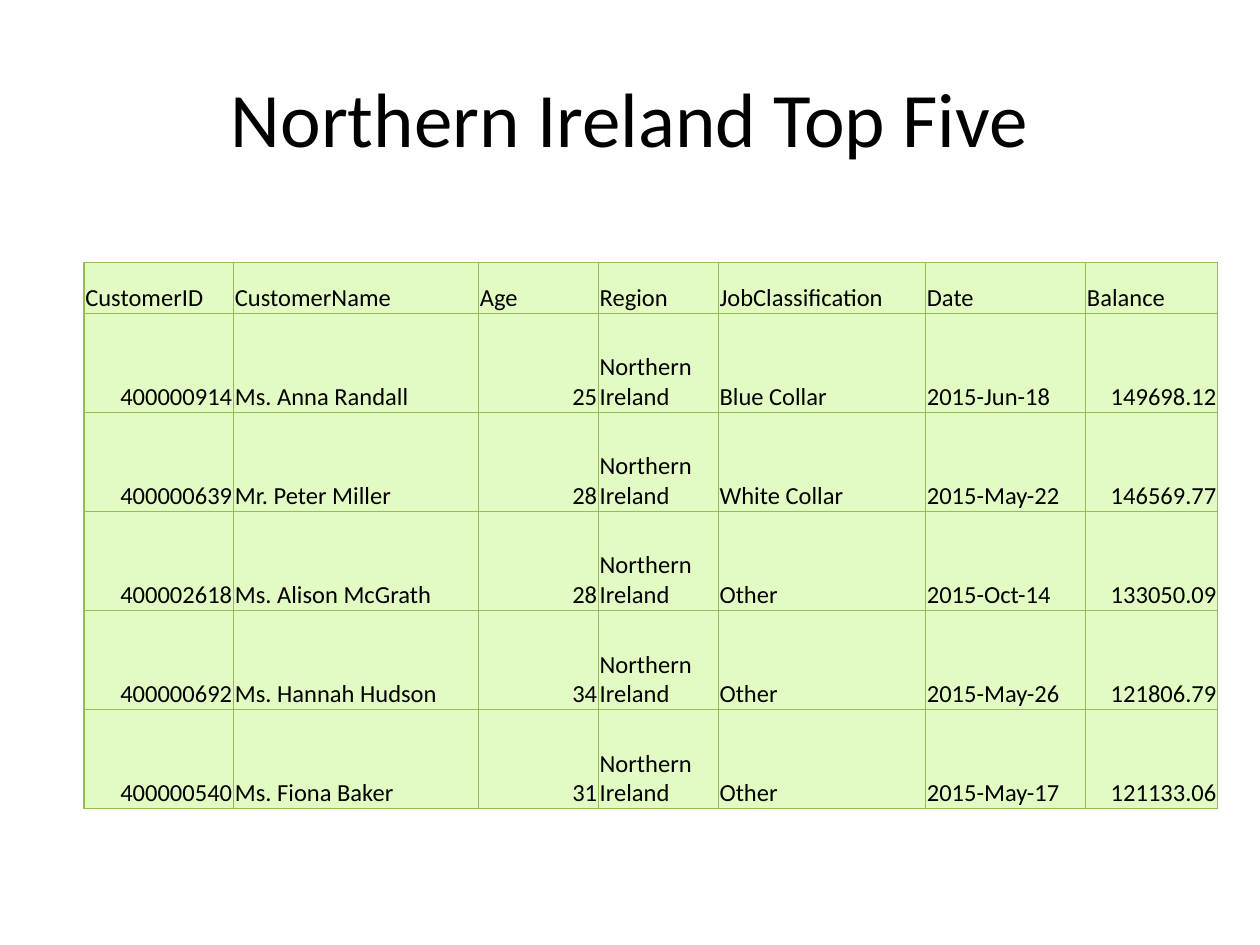
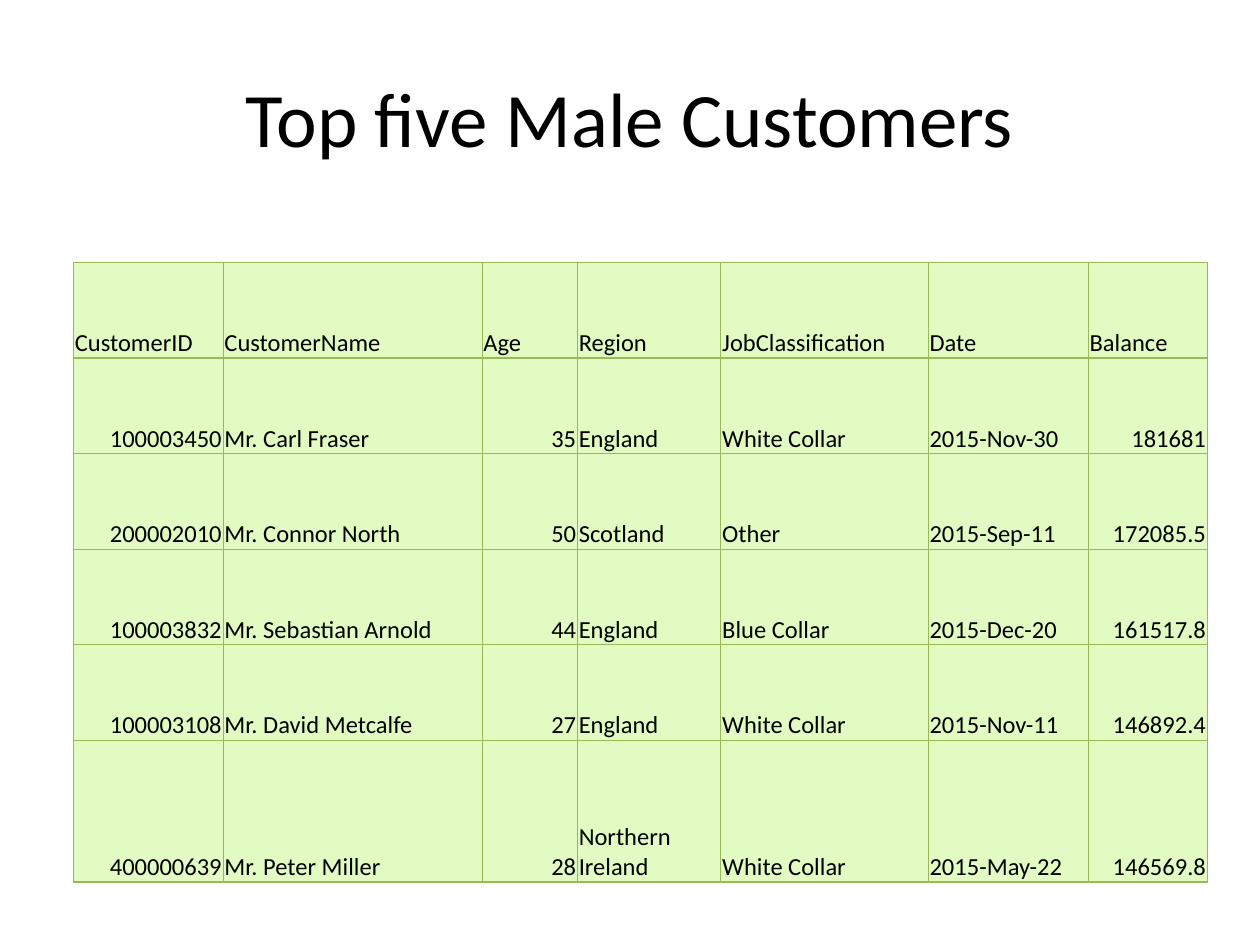
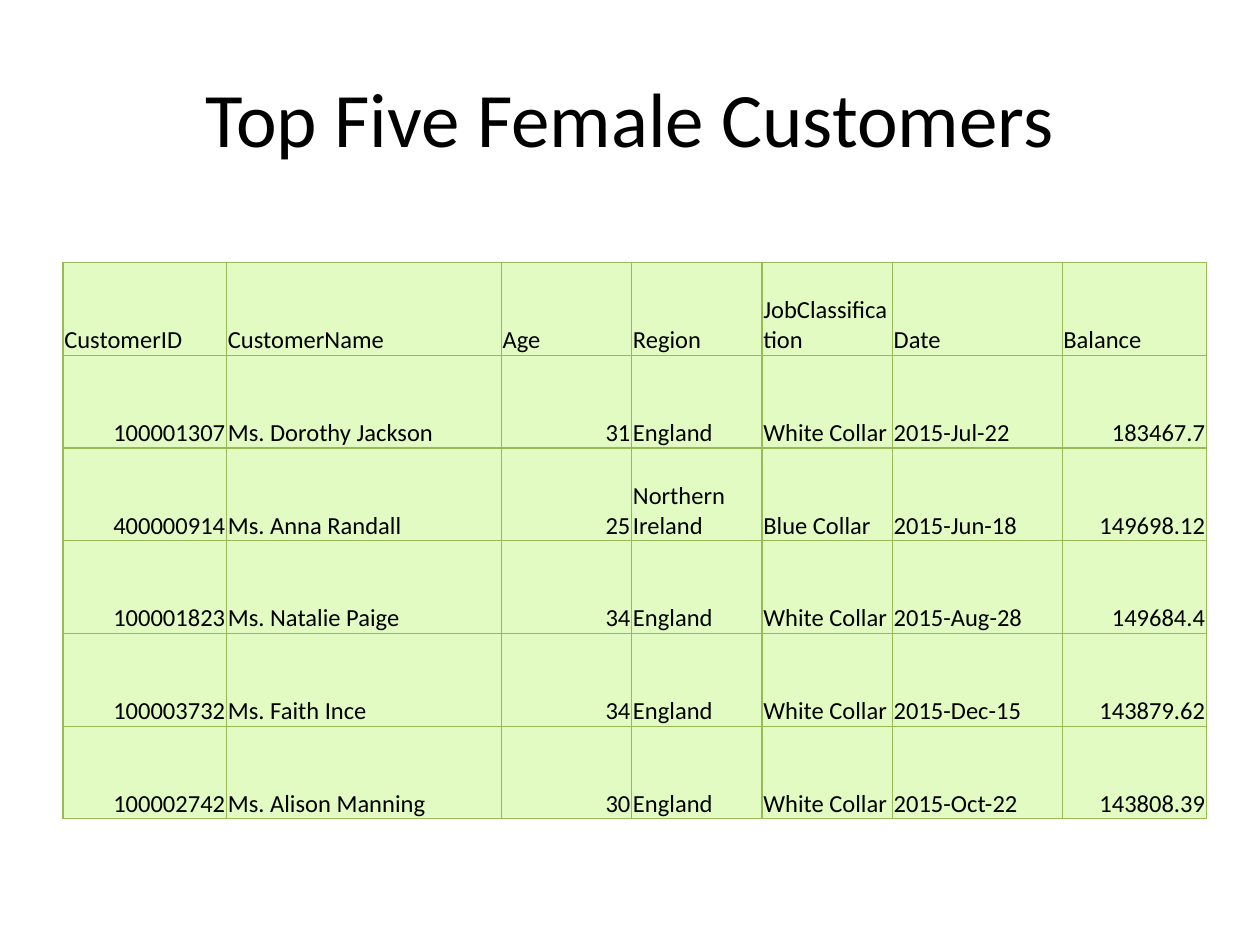
from dataclasses import dataclass

from lxml.etree import SubElement
from pptx import Presentation
from pptx.dml.color import RGBColor
from pptx.enum.text import MSO_ANCHOR, PP_ALIGN
from pptx.oxml.ns import qn
from pptx.util import Pt


@dataclass(frozen=True)
class Theme:
    font: str = "Calibri"
    ink: str = "000000"
    background: str = "FFFFFF"
    cell_fill: str = "E2FBC2"
    grid: str = "98B955"
    grid_width: float = 0.75
    title_size: float = 44
    cell_size: float = 14
    cell_inset: float = 0.75


THEME = Theme()
TABLE_TOP = 150
HEADINGS = ("CustomerID", "CustomerName", "Age", "Region",
            "JobClassification", "Date", "Balance")
NUMERIC_HEADINGS = {"CustomerID", "Age", "Balance"}

RANKINGS = [
    {
        "title": "Northern Ireland Top Five",
        "left": 48,
        "widths": (85.5, 140, 68.5, 68.5, 118.5, 91.5, 75.5),
        "heights": (29, *[56.6] * 5),
        "customers": [
            ("400000914", "Ms. Anna Randall", "25", "Northern Ireland", "Blue Collar", "2015-Jun-18", "149698.12"),
            ("400000639", "Mr. Peter Miller", "28", "Northern Ireland", "White Collar", "2015-May-22", "146569.77"),
            ("400002618", "Ms. Alison McGrath", "28", "Northern Ireland", "Other", "2015-Oct-14", "133050.09"),
            ("400000692", "Ms. Hannah Hudson", "34", "Northern Ireland", "Other", "2015-May-26", "121806.79"),
            ("400000540", "Ms. Fiona Baker", "31", "Northern Ireland", "Other", "2015-May-17", "121133.06"),
        ],
    },
    {
        "title": "Top five Male Customers",
        "left": 42,
        "widths": (85.5, 148, 54.5, 82, 118.5, 91.5, 68),
        "heights": (*[54.6] * 5, 81),
        "customers": [
            ("100003450", "Mr. Carl Fraser", "35", "England", "White Collar", "2015-Nov-30", "181681"),
            ("200002010", "Mr. Connor North", "50", "Scotland", "Other", "2015-Sep-11", "172085.5"),
            ("100003832", "Mr. Sebastian Arnold", "44", "England", "Blue Collar", "2015-Dec-20", "161517.8"),
            ("100003108", "Mr. David Metcalfe", "27", "England", "White Collar", "2015-Nov-11", "146892.4"),
            ("400000639", "Mr. Peter Miller", "28", "Northern Ireland", "White Collar", "2015-May-22", "146569.8"),
        ],
    },
    {
        "title": "Top Five Female Customers",
        "left": 36,
        "widths": (93.5, 157, 74.5, 74.5, 74.5, 97, 82.5),
        "heights": [53] * 6,
        "customers": [
            ("100001307", "Ms. Dorothy Jackson", "31", "England", "White Collar", "2015-Jul-22", "183467.7"),
            ("400000914", "Ms. Anna Randall", "25", "Northern Ireland", "Blue Collar", "2015-Jun-18", "149698.12"),
            ("100001823", "Ms. Natalie Paige", "34", "England", "White Collar", "2015-Aug-28", "149684.4"),
            ("100003732", "Ms. Faith Ince", "34", "England", "White Collar", "2015-Dec-15", "143879.62"),
            ("100002742", "Ms. Alison Manning", "30", "England", "White Collar", "2015-Oct-22", "143808.39"),
        ],
    },
]


def format_paragraph(paragraph, size, alignment):
    paragraph.alignment = alignment
    paragraph.font.name = THEME.font
    paragraph.font.size = Pt(size)
    paragraph.font.color.rgb = RGBColor.from_string(THEME.ink)


def set_title(slide, wording):
    title = slide.shapes.title
    title.left, title.top, title.width, title.height = Pt(36), Pt(21.6), Pt(648), Pt(90)
    title.text_frame.text = wording
    title.text_frame.vertical_anchor = MSO_ANCHOR.MIDDLE
    format_paragraph(title.text_frame.paragraphs[0], THEME.title_size, PP_ALIGN.CENTER)


def add_cell_borders(cell):
    properties = cell._tc.get_or_add_tcPr()
    for side in ("lnL", "lnR", "lnT", "lnB"):
        border = SubElement(properties, qn(f"a:{side}"), w=str(Pt(THEME.grid_width)))
        SubElement(SubElement(border, qn("a:solidFill")), qn("a:srgbClr"), val=THEME.grid)


def format_cell(cell, wording, alignment):
    cell.text = wording
    cell.vertical_anchor = MSO_ANCHOR.BOTTOM
    cell.margin_left = cell.margin_right = cell.margin_top = Pt(THEME.cell_inset)
    cell.margin_bottom = Pt(0)
    add_cell_borders(cell)
    cell.fill.solid()
    cell.fill.fore_color.rgb = RGBColor.from_string(THEME.cell_fill)
    format_paragraph(cell.text_frame.paragraphs[0], THEME.cell_size, alignment)


def add_customer_table(slide, left, widths, heights, customers):
    table = slide.shapes.add_table(
        len(heights), len(widths), Pt(left), Pt(TABLE_TOP), Pt(sum(widths)), Pt(sum(heights))
    ).table
    table.first_row = table.horz_banding = False
    for column, width in zip(table.columns, widths):
        column.width = Pt(width)
    for row, height in zip(table.rows, heights):
        row.height = Pt(height)
    for row_index, record in enumerate([HEADINGS, *customers]):
        for column_index, (heading, wording) in enumerate(zip(HEADINGS, record)):
            is_number = row_index > 0 and heading in NUMERIC_HEADINGS
            alignment = PP_ALIGN.RIGHT if is_number else PP_ALIGN.LEFT
            format_cell(table.cell(row_index, column_index), wording, alignment)


def add_ranking_slide(presentation, title, **ranking):
    slide = presentation.slides.add_slide(presentation.slide_layouts.get_by_name("Title Only"))
    slide.background.fill.solid()
    slide.background.fill.fore_color.rgb = RGBColor.from_string(THEME.background)
    set_title(slide, title)
    add_customer_table(slide, **ranking)


def main():
    presentation = Presentation()
    presentation.slide_width, presentation.slide_height = Pt(720), Pt(540)
    for ranking in RANKINGS:
        add_ranking_slide(presentation, **ranking)
    presentation.save("out.pptx")


if __name__ == "__main__":
    main()
